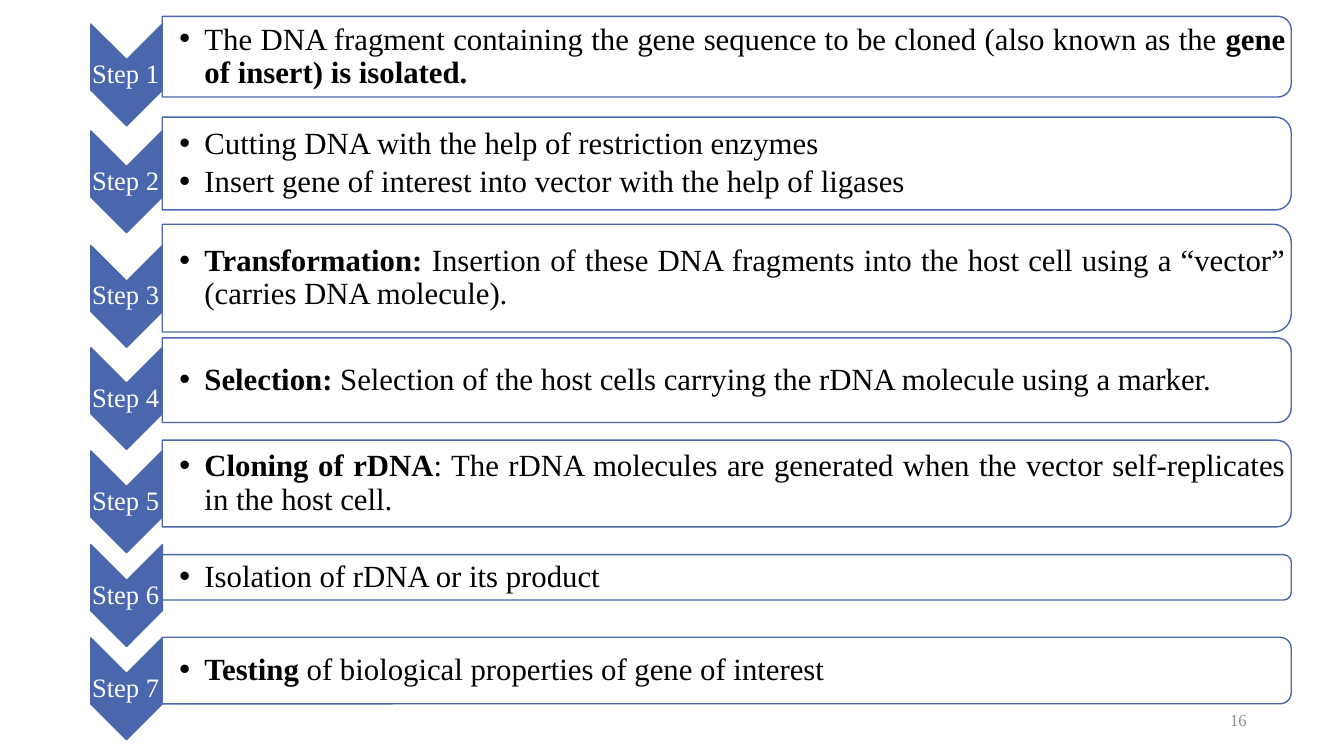
from lxml.etree import SubElement
from pptx import Presentation
from pptx.dml.color import RGBColor
from pptx.enum.shapes import MSO_SHAPE
from pptx.enum.text import MSO_ANCHOR, PP_ALIGN
from pptx.oxml.ns import qn
from pptx.util import Pt

COLORS = {"blue": "4A66AC", "white": "FFFFFF", "black": "000000", "gray": "8C8C8C"}
FONT = "Times New Roman"
CHEVRON_CENTER, CHEVRON_LENGTH, CHEVRON_WIDTH = 90.4, 72.7, 51.1
CHEVRON_DROP = 13
BAR_CENTER, BAR_LENGTH = 519.1, 806.4
TEXT_LEFT, TEXT_WIDTH = 115.9, 803.5

STEPS = [
    (40.5, 57.6, [[("The DNA fragment containing the gene sequence to be cloned (also known as the ", False),
                   ("gene of insert) is isolated.", True)]]),
    (116.8, 66.2, [[("Cutting DNA with the help of restriction enzymes", False)],
                   [("Insert gene of interest into vector with the help of ligases", False)]]),
    (198.7, 77, [[("Transformation:", True),
                  (" Insertion of these DNA fragments into the host cell using a “vector” "
                   "(carries DNA molecule).", False)]]),
    (271.6, 60.5, [[("Selection:", True),
                    (" Selection of the host cells carrying the rDNA molecule using a marker.", False)]]),
    (345.4, 61.9, [[("Cloning of rDNA", True),
                    (": The rDNA molecules are generated when the vector self-replicates "
                     "in the host cell.", False)]]),
    (412.4, 32.4, [[("Isolation of rDNA or its product", False)]]),
    (479, 47.5, [[("Testing", True), (" of biological properties of gene of interest", False)]]),
]

presentation = Presentation()
presentation.slide_width, presentation.slide_height = Pt(960), Pt(540)
slide = presentation.slides.add_slide(presentation.slide_layouts[6])


def add_rotated_shape(kind, center_x, center_y, width, height, fill):
    shape = slide.shapes.add_shape(kind, Pt(center_x - width / 2), Pt(center_y - height / 2),
                                   Pt(width), Pt(height))
    shape.rotation = 90
    shape.shadow.inherit = False
    shape.fill.solid()
    shape.fill.fore_color.rgb = RGBColor.from_string(COLORS[fill])
    shape.line.color.rgb = RGBColor.from_string(COLORS["blue"])
    shape.line.width = Pt(1)
    return shape


def add_text(box, margins, paragraphs, size, color, alignment, space_after=0, bullet=False):
    left, top, width, height = box
    frame = slide.shapes.add_textbox(Pt(left), Pt(top), Pt(width), Pt(height)).text_frame
    frame.word_wrap = True
    frame.vertical_anchor = MSO_ANCHOR.MIDDLE
    frame.margin_left = Pt(margins[0])
    frame.margin_top = frame.margin_right = frame.margin_bottom = Pt(margins[1])
    for index, runs in enumerate(paragraphs):
        paragraph = frame.add_paragraph() if index else frame.paragraphs[0]
        paragraph.alignment = alignment
        paragraph.line_spacing = 0.9
        paragraph.space_after = Pt(space_after)
        if bullet:
            properties = paragraph._p.get_or_add_pPr()
            properties.set("marL", str(Pt(18)))
            properties.set("indent", str(Pt(-18)))
            SubElement(properties, qn("a:buFont"), typeface="Arial")
            SubElement(properties, qn("a:buChar"), char="•")
        for text, bold in runs:
            run = paragraph.add_run()
            run.text = text
            run.font.name = FONT
            run.font.size = Pt(size)
            run.font.bold = bold
            run.font.color.rgb = RGBColor.from_string(COLORS[color])


add_text((678.2, 500.4, 216, 28.8), (7.2, 3.6), [[("16", False)]], 12, "gray", PP_ALIGN.RIGHT)

for number, (center, height, paragraphs) in enumerate(STEPS, start=1):
    chevron_middle = center + CHEVRON_DROP
    add_rotated_shape(MSO_SHAPE.CHEVRON, CHEVRON_CENTER, chevron_middle,
                      CHEVRON_LENGTH, CHEVRON_WIDTH, "blue")
    add_text((CHEVRON_CENTER - CHEVRON_WIDTH / 2, chevron_middle - 10.8, CHEVRON_WIDTH, 21.6),
             (0.9, 0.9), [[(f"Step {number}", False)]], 19, "white", PP_ALIGN.JUSTIFY)
    bar = add_rotated_shape(MSO_SHAPE.ROUND_2_SAME_RECTANGLE, BAR_CENTER, center,
                            height, BAR_LENGTH, "white")
    bar_color = bar.fill._xPr.find(qn("a:solidFill")).find(qn("a:srgbClr"))
    SubElement(bar_color, qn("a:alpha"), val="90000")
    add_text((TEXT_LEFT, center - height / 2 + 3, TEXT_WIDTH, height - 6), (12.2, 1.4),
             paragraphs, 22, "black", PP_ALIGN.JUSTIFY, space_after=3.3, bullet=True)

presentation.save("out.pptx")
